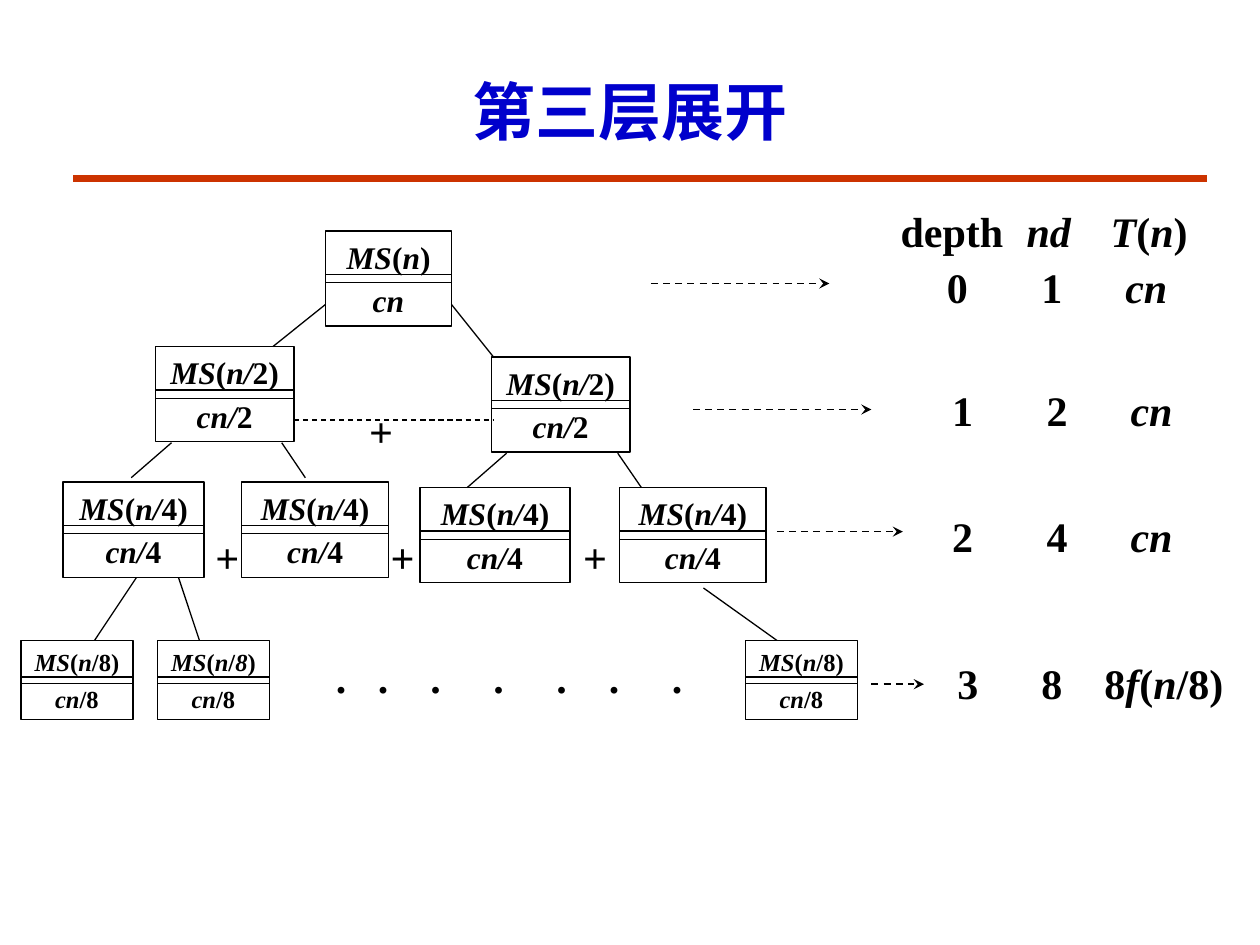
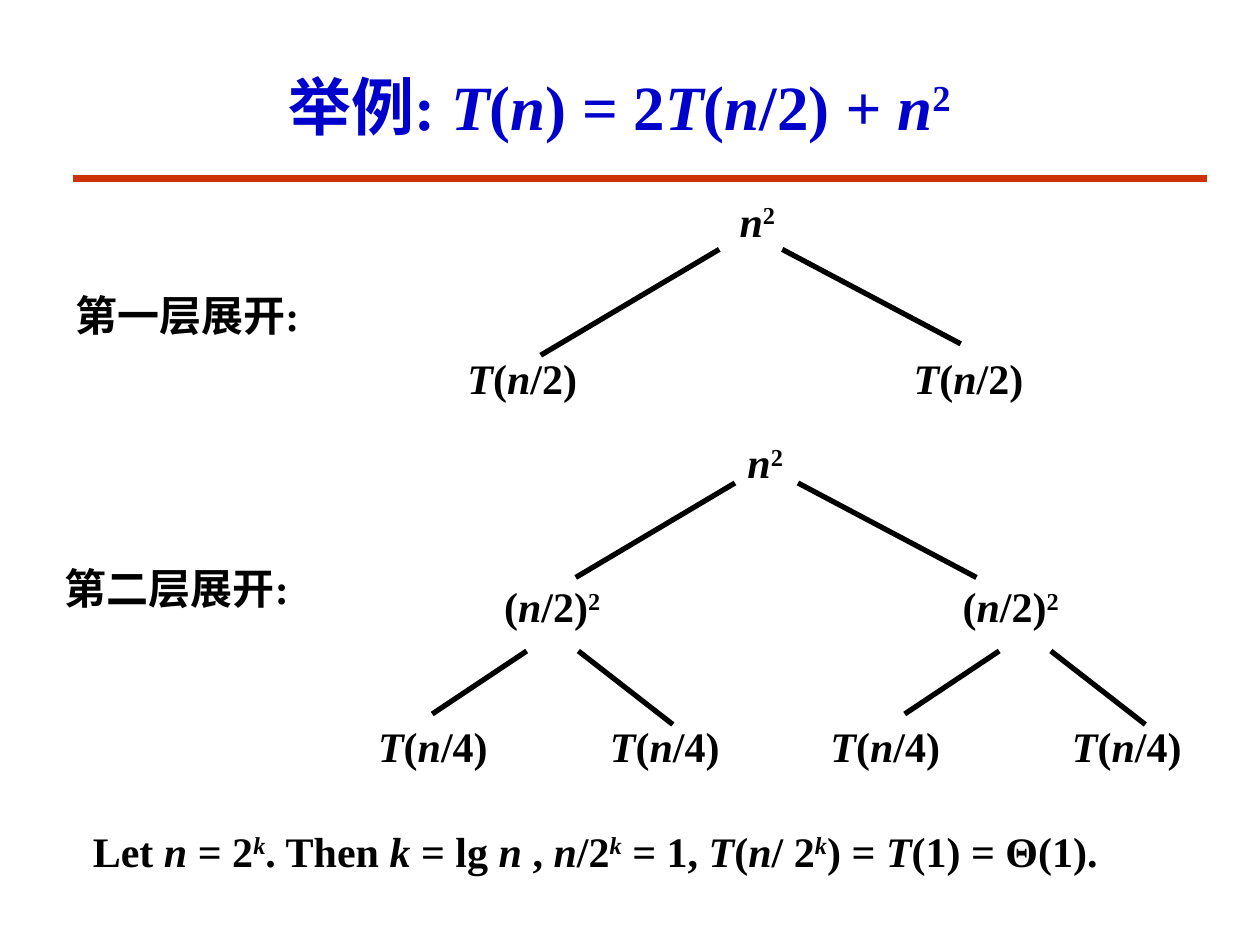
"""Build two slides that expand divide-and-conquer recurrences as trees."""
from typing import NamedTuple

from lxml.etree import SubElement
from pptx import Presentation
from pptx.dml.color import RGBColor
from pptx.enum.dml import MSO_LINE_DASH_STYLE as Dash
from pptx.enum.shapes import MSO_CONNECTOR as Connector, MSO_SHAPE as Shape
from pptx.enum.text import MSO_ANCHOR as Anchor, MSO_AUTO_SIZE as AutoSize, PP_ALIGN as Align
from pptx.oxml.ns import qn
from pptx.slide import Slide
from pptx.util import Pt

FONT = "Times New Roman"
BLACK, BLUE, RED = "000000", "0000CC", "CC3300"
TITLE_ONLY = 5


class Box(NamedTuple):
    left: float
    top: float
    width: float
    height: float


class Label(NamedTuple):
    left: float
    top: float
    width: float
    text: str
    tabs: tuple = ()
    align: Align = Align.LEFT


class Node(NamedTuple):
    left: float
    top: float
    width: float
    call: str
    cost: str
    size: float = 18


class Edge(NamedTuple):
    x1: float
    y1: float
    x2: float
    y2: float


def color(value: str) -> RGBColor:
    return RGBColor.from_string(value)


def write(paragraph, text: str, size: float, ink: str, align: Align, tabs: tuple = ()) -> None:
    """Write text where *stars* mark italics and ^carets^ mark superscripts."""
    paragraph.alignment = align
    if tabs:
        tab_list = SubElement(paragraph._p.get_or_add_pPr(), qn("a:tabLst"))
        for stop in tabs:
            SubElement(tab_list, qn("a:tab"), pos=str(Pt(stop)), algn="l")
    font = paragraph.font
    font.name, font.size, font.bold = FONT, Pt(size), True
    font.color.rgb = color(ink)
    for level, part in enumerate(text.split("^")):
        for index, piece in enumerate(part.split("*")):
            if not piece:
                continue
            run = paragraph.add_run()
            run.text = piece
            run.font.italic = index % 2 == 1
            if level % 2:
                run._r.get_or_add_rPr().set("baseline", "30000")


def add_line(slide: Slide, edge: Edge, width: float = 0.75, ink: str = BLACK,
             dashed: bool = False, arrow: bool = False) -> None:
    line = slide.shapes.add_connector(Connector.STRAIGHT, *map(Pt, edge))
    line.line.color.rgb = color(ink)
    line.line.width = Pt(width)
    if dashed:
        line.line.dash_style = Dash.DASH
    if arrow:
        SubElement(line.line._get_or_add_ln(), qn("a:tailEnd"), type="stealth")
    SubElement(line._element.spPr, qn("a:effectLst"))


def add_label(slide: Slide, label: Label) -> None:
    box = Box(label.left, label.top, label.width, 36)
    frame = slide.shapes.add_textbox(*map(Pt, box)).text_frame
    frame.word_wrap = True
    write(frame.paragraphs[0], label.text, 24, BLACK, label.align, label.tabs)


def add_node(slide: Slide, node: Node) -> None:
    """Draw two overlapping frames: the call above and its cost below."""
    height = 1.3 * node.size + 6.2
    step = node.size + 6.8
    for row, text in enumerate((node.call, node.cost)):
        box = Box(node.left, node.top + row * step, node.width, height)
        shape = slide.shapes.add_shape(Shape.RECTANGLE, *map(Pt, box))
        shape.shadow.inherit = False
        shape.fill.background()
        shape.line.color.rgb = color(BLACK)
        shape.line.width = Pt(0.75)
        frame = shape.text_frame
        frame.word_wrap = True
        frame.vertical_anchor = Anchor.MIDDLE
        write(frame.paragraphs[0], text, node.size, BLACK, Align.CENTER)


def add_slide(presentation, title: str, box: Box) -> Slide:
    """Add a slide with the shared title style and red rule."""
    slide = presentation.slides.add_slide(presentation.slide_layouts[TITLE_ONLY])
    heading = slide.shapes.title
    heading.left, heading.top, heading.width, heading.height = map(Pt, box)
    frame = heading.text_frame
    frame.auto_size = AutoSize.NONE
    frame.vertical_anchor = Anchor.MIDDLE
    write(frame.paragraphs[0], title, 36, BLUE, Align.CENTER)
    add_line(slide, Edge(42, 102, 690, 102), 4.5, RED)
    return slide


def build_merge_sort(presentation) -> None:
    slide = add_slide(presentation, "第三层展开", Box(54, 30, 612, 66))

    half = ("*MS*(*n/*2)", "*cn/*2")
    quarter = ("*MS*(*n/*4)", "*cn/*4")
    eighth = ("*MS*(*n*/8)", "*cn*/8", 14)
    nodes = [
        Node(186, 132, 72, "*MS*(*n*)", "*cn*"),
        Node(88.8, 198, 79.2, *half),
        Node(280.8, 204, 79.2, *half),
        Node(36, 275.5, 80.6, *quarter),
        Node(138, 275.5, 84.2, *quarter),
        Node(240, 278.6, 85.7, *quarter),
        Node(354.2, 278.6, 83.5, *quarter),
        Node(12, 366, 64, *eighth),
        Node(90, 366, 64, "*MS*(*n*/*8*)", *eighth[1:]),
        Node(426, 366, 64, *eighth),
    ]
    for node in nodes:
        add_node(slide, node)

    edges = [
        Edge(186, 174, 156, 198), Edge(258, 174, 282, 204),
        Edge(98, 253, 75, 273), Edge(161, 253, 174.5, 273),
        Edge(289.5, 259, 267, 278.6), Edge(353, 259, 366.5, 278.6),
        Edge(78, 330, 54, 366), Edge(102, 330, 114, 366),
        Edge(402, 336, 444, 366),
    ]
    for edge in edges:
        add_line(slide, edge)
    add_line(slide, Edge(168, 240, 282, 240), dashed=True)

    arrows = [(372, 474, 162), (396, 498, 234), (444, 516, 303.8), (498, 528, 391)]
    for start, end, y in arrows:
        add_line(slide, Edge(start, y, end, y), 1, dashed=True, arrow=True)

    wide = (54, 102)
    labels = [
        Label(507.6, 114, 188, "depth\t*nd*\t*T*(*n*)", (72, 120)),
        Label(534, 146, 168, "0\t1\t*cn*", wide),
        Label(537, 216, 142, "1\t2\t*cn*", wide),
        Label(537, 288, 148, "2\t4\t*cn*", wide),
        Label(540, 372, 174, "3\t8\t8*f*(*n*/8)", (48, 84)),
        Label(184.8, 369, 212.4, "\t".join("......."), (24, 54, 90, 126, 156, 192)),
    ]
    pluses = [(203.8, 228), (116, 300), (216, 300), (326, 300)]
    labels += [Label(left, top, 28, "+", align=Align.CENTER) for left, top in pluses]
    for label in labels:
        add_label(slide, label)


def build_example(presentation) -> None:
    slide = add_slide(presentation, "举例: *T*(*n*) = 2*T*(*n*/2) *+ n*^2^", Box(48, 24, 612, 72))

    edges = [
        Edge(447, 142.5, 549, 196.5), Edge(411, 142.5, 309, 203),
        Edge(456, 276, 558, 330), Edge(420, 276, 329, 330),
    ]
    for shift in (0, 270):
        edges += [Edge(330.5 + shift, 372, 384.5 + shift, 414),
                  Edge(301 + shift, 372, 247 + shift, 408)]
    for edge in edges:
        add_line(slide, edge, 3)

    square, half_square = "*n*^2^", "(*n*/2)^2^"
    half, quarter = "*T*(*n*/2)", "*T*(*n*/4)"
    labels = [
        Label(36, 162, 144.7, "第一层展开:"),
        Label(30, 318, 144.7, "第二层展开:"),
        Label(415.5, 108, 48, square),
        Label(260, 198, 84, half),
        Label(515, 198, 84, half),
        Label(420, 246, 42.5, square),
        Label(281, 328.3, 77, half_square),
        Label(543, 328.3, 77, half_square),
        Label(46, 468, 596,
              "Let *n* = 2^*k*^. Then *k* = lg *n* , *n*/2^*k*^ = 1, "
              "*T*(*n*/ 2^*k*^) = *T*(1) = Θ(1)."),
    ]
    labels += [Label(left, 408, 80, quarter) for left in (209, 341.5, 467.5, 605.5)]
    for label in labels:
        add_label(slide, label)


def main() -> None:
    presentation = Presentation()
    presentation.slide_width, presentation.slide_height = Pt(720), Pt(540)
    build_merge_sort(presentation)
    build_example(presentation)
    presentation.save("out.pptx")


if __name__ == "__main__":
    main()
